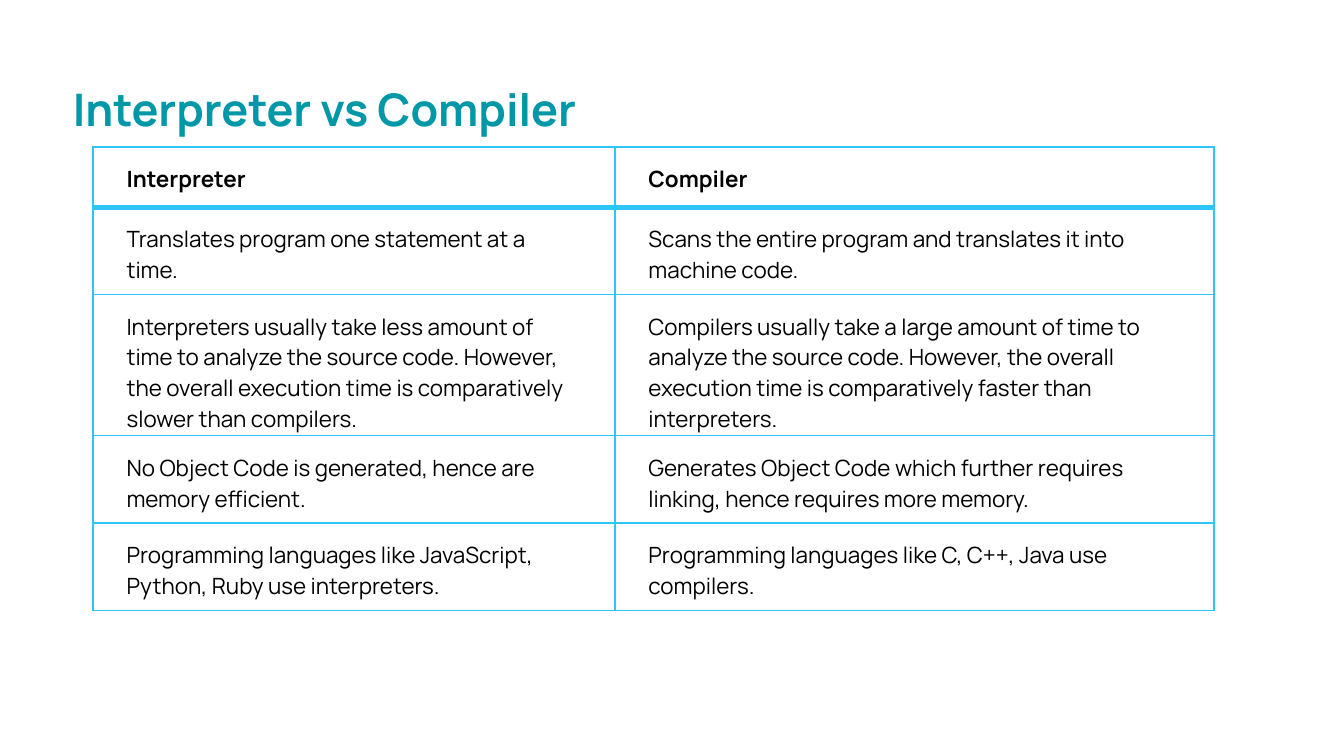
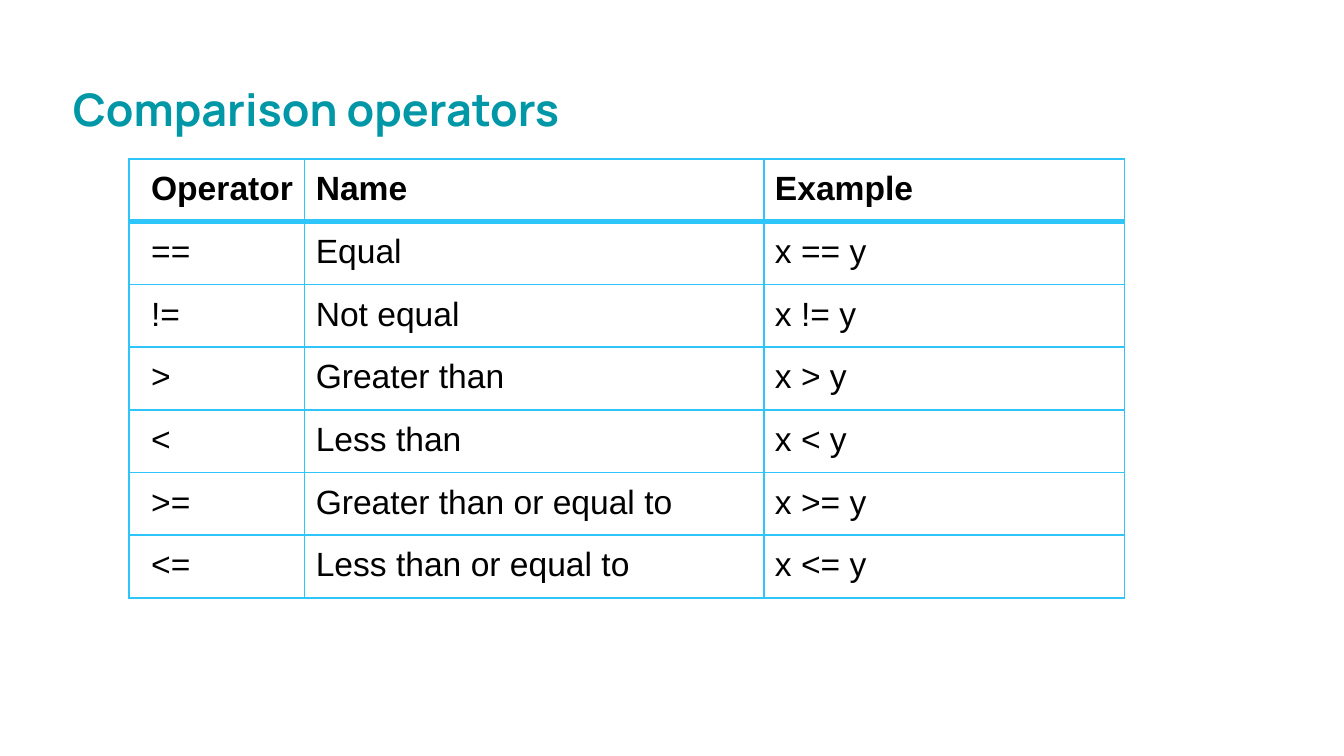
"""Build two slides that compare terms in ruled tables."""
from dataclasses import dataclass

from lxml.etree import SubElement
from pptx import Presentation
from pptx.dml.color import RGBColor
from pptx.enum.text import MSO_ANCHOR, MSO_AUTO_SIZE, PP_ALIGN
from pptx.oxml.ns import qn
from pptx.presentation import Presentation as Deck
from pptx.slide import Slide
from pptx.table import _Cell as Cell
from pptx.text.text import _Paragraph as Para
from pptx.util import Emu, Pt

TEAL, SKY, BLACK, WHITE = "0097A7", "2DC5FA", "000000", "FFFFFF"
THIN, THICK = 1, 3


@dataclass(frozen=True)
class Grid:
    title: str
    left: int
    top: int
    cols: list[int]
    rows: list[int]
    font: str
    size: int
    pad_x: int
    pad_y: int
    lead: int
    anchor: MSO_ANCHOR
    cells: list[list[str]]


GRIDS = [
    Grid(
        "Interpreter vs Compiler", 83, 131, [466, 535], [54, 78, 126, 78, 78],
        "Manrope", 12, 30, 15, 30, MSO_ANCHOR.MIDDLE,
        [
            ["Interpreter", "Compiler"],
            ["Translates program one statement at a time.",
             "Scans the entire program and translates it into machine code."],
            ["Interpreters usually take less amount of time to analyze the source code. "
             "However, the overall execution time is comparatively slower than compilers.",
             "Compilers usually take a large amount of time to analyze the source code. "
             "However, the overall execution time is comparatively faster than interpreters."],
            ["No Object Code is generated, hence are memory efficient.",
             "Generates Object Code which further requires linking, "
             "hence requires more memory."],
            ["Programming languages like JavaScript, Python, Ruby use interpreters.",
             "Programming languages like C, C++, Java use compilers."],
        ],
    ),
    Grid(
        "Comparison operators", 115, 142, [157, 410, 322], [30] * 7,
        "Arial", 18, 10, 10, 20, MSO_ANCHOR.TOP,
        [["Operator", "Name", "Example"]] + [
            [sign, name, f"x {sign} y"]
            for sign, name in [
                ("==", "Equal"),
                ("!=", "Not equal"),
                (">", "Greater than"),
                ("<", "Less than"),
                (">=", "Greater than or equal to"),
                ("<=", "Less than or equal to"),
            ]
        ],
    ),
]


def px(count: int) -> Emu:
    """Turn px into EMU, at 120 px to the inch."""
    return Emu(count * 7620)


def hue(code: str) -> RGBColor:
    """Turn a hex string into a colour."""
    return RGBColor.from_string(code)


def style(para: Para, font: str, size: int, color: str, bold: bool) -> None:
    """Format every run of a left-aligned paragraph."""
    para.alignment = PP_ALIGN.LEFT
    for run in para.runs:
        run.font.name = font
        run.font.size = Pt(size)
        run.font.bold = bold
        run.font.color.rgb = hue(color)


def add_title(slide: Slide, text: str) -> None:
    """Place and format the slide title."""
    title = slide.shapes.title
    title.left, title.top, title.width, title.height = map(px, (53, 47, 1090, 73))
    frame = title.text_frame
    frame.text = text
    frame.word_wrap = True
    frame.auto_size = MSO_AUTO_SIZE.SHAPE_TO_FIT_TEXT
    frame.vertical_anchor = MSO_ANCHOR.TOP
    frame.margin_left = frame.margin_right = px(12)
    frame.margin_top = frame.margin_bottom = px(12)
    para = frame.paragraphs[0]
    para.line_spacing = 1.3
    style(para, "Manrope", 24, TEAL, True)


def rule(cell: Cell, top: int, bottom: int) -> None:
    """Draw the four borders of a cell."""
    props = cell._tc.get_or_add_tcPr()
    for side, width in zip("LRTB", (THIN, THIN, top, bottom)):
        line = SubElement(props, qn(f"a:ln{side}"), w=str(Pt(width)))
        fill = SubElement(line, qn("a:solidFill"))
        SubElement(fill, qn("a:srgbClr"), val=SKY)


def fill_cell(cell: Cell, grid: Grid, row: int, col: int) -> None:
    """Write and format one cell."""
    cell.text_frame.text = grid.cells[row][col]
    style(cell.text_frame.paragraphs[0], grid.font, grid.size, BLACK, row == 0)
    cell.vertical_anchor = grid.anchor
    cell.margin_left = px(grid.pad_x if col else grid.lead)
    cell.margin_right = px(grid.pad_x)
    cell.margin_top = cell.margin_bottom = px(grid.pad_y)
    rule(cell, THICK if row == 1 else THIN, THICK if row == 0 else THIN)
    cell.fill.solid()
    cell.fill.fore_color.rgb = hue(WHITE)


def add_grid(slide: Slide, grid: Grid) -> None:
    """Add the table of a slide."""
    table = slide.shapes.add_table(
        len(grid.rows), len(grid.cols), px(grid.left), px(grid.top),
        px(sum(grid.cols)), px(sum(grid.rows)),
    ).table
    table.horz_banding = False
    for col, width in zip(table.columns, grid.cols):
        col.width = px(width)
    for row, height in zip(table.rows, grid.rows):
        row.height = px(height)
    for row in range(len(grid.rows)):
        for col in range(len(grid.cols)):
            fill_cell(table.cell(row, col), grid, row, col)


def add_slide(deck: Deck, grid: Grid) -> None:
    """Add a white slide with a title and a table."""
    slide = deck.slides.add_slide(deck.slide_layouts.get_by_name("Title Only"))
    slide.background.fill.solid()
    slide.background.fill.fore_color.rgb = hue(WHITE)
    add_title(slide, grid.title)
    add_grid(slide, grid)


def main() -> None:
    """Build and save the deck."""
    deck = Presentation()
    deck.slide_width, deck.slide_height = px(1200), px(675)
    for grid in GRIDS:
        add_slide(deck, grid)
    deck.save("out.pptx")


if __name__ == "__main__":
    main()
